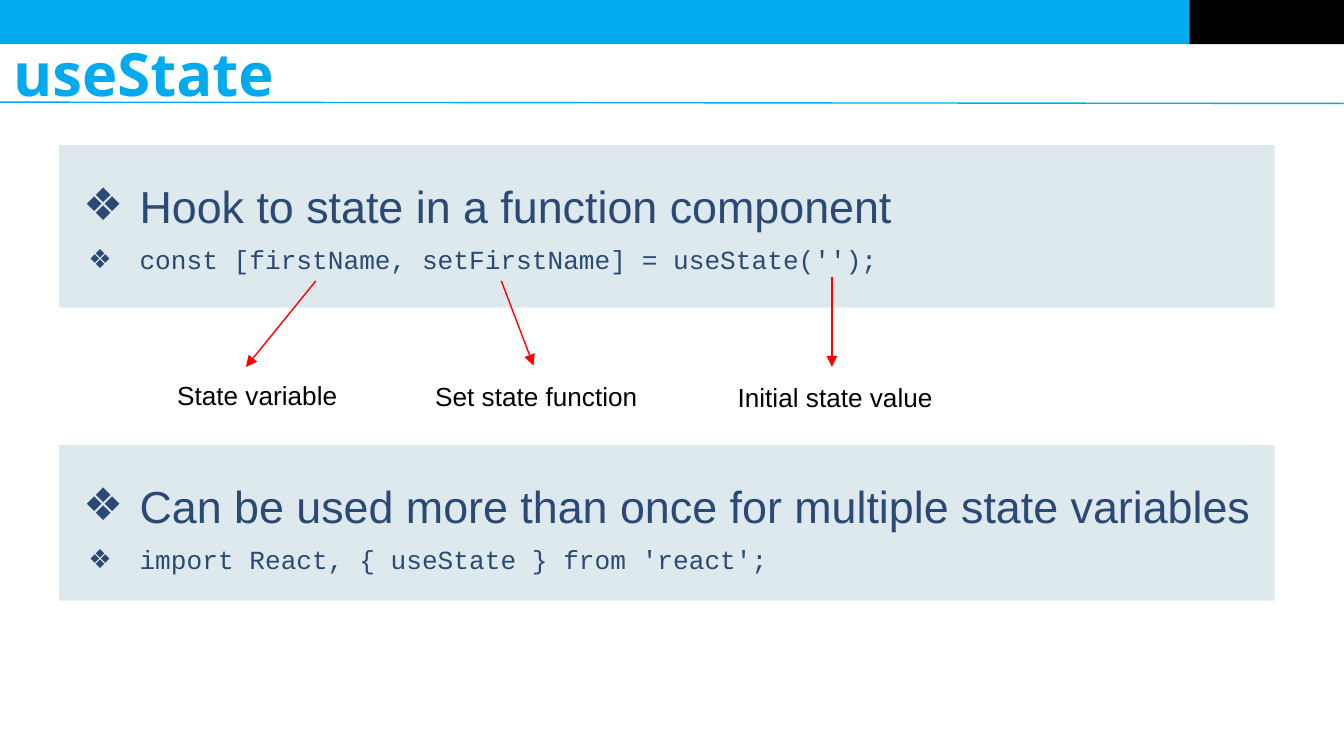
from lxml import etree
from pptx import Presentation
from pptx import util as u
from pptx.dml.color import RGBColor
from pptx.enum import shapes, text
from pptx.oxml import ns

SKY = RGBColor(0x00, 0xAA, 0xED)
BLACK = RGBColor(0x00, 0x00, 0x00)
PALE = RGBColor(0xDE, 0xE9, 0xEE)
NAVY = RGBColor(0x2A, 0x4A, 0x75)
RED = RGBColor(0xFF, 0x00, 0x00)
CELL = 0.1
COLS, ROWS = 100, 56.25


def grid(*cells):
    return [u.Inches(cell * CELL) for cell in cells]


def child(node, tag, **attrs):
    return etree.SubElement(node, ns.qn(tag), attrs)


class Deck:
    def __init__(self):
        self.prs = Presentation()
        self.prs.slide_width, self.prs.slide_height = grid(COLS, ROWS)
        self.slide = self.prs.slides.add_slide(self.prs.slide_layouts[6])

    def style(self, para, words, face, size, color, bold=False):
        para.text = words
        font = para.font
        font.name, font.size, font.bold = face, u.Pt(size), bold
        font.color.rgb = color

    def block(self, x, y, w, h, color):
        shape = self.slide.shapes.add_shape(
            shapes.MSO_SHAPE.RECTANGLE, *grid(x, y, w, h))
        shape.shadow.inherit = False
        shape.fill.solid()
        shape.fill.fore_color.rgb = color
        shape.line.fill.background()
        return shape

    def line(self, start, end, color, arrow=False):
        line = self.slide.shapes.add_connector(
            shapes.MSO_CONNECTOR.STRAIGHT, *grid(*start, *end))
        line.line.color.rgb = color
        line.line.width = u.Pt(0.75)
        if arrow:
            child(line.line._get_or_add_ln(), "a:tailEnd", type="triangle")
        child(line._element.spPr, "a:effectLst")

    def label(self, x, y, w, h, words, face="Arial", size=14, color=BLACK,
              bold=False, pad=1, anchor=text.MSO_ANCHOR.TOP):
        frame = self.slide.shapes.add_textbox(*grid(x, y, w, h)).text_frame
        frame.word_wrap = True
        frame.vertical_anchor = anchor
        frame.margin_top, frame.margin_bottom = grid(pad, pad)
        self.style(frame.paragraphs[0], words, face, size, color, bold)

    def bullet(self, para, hang):
        props = para._p.get_or_add_pPr()
        left, indent = grid(5, -hang)
        props.set("marL", str(left))
        props.set("indent", str(indent))
        tint = child(props, "a:buClr")
        child(tint, "a:srgbClr", val=str(NAVY))
        child(props, "a:buSzPct", val="100000")
        child(props, "a:buFont", typeface="Arial")
        child(props, "a:buChar", char="❖")

    def panel(self, y, h, point, code):
        frame = self.block(4.4, y, 90.45, h, PALE).text_frame
        frame.word_wrap = True
        frame.vertical_anchor = text.MSO_ANCHOR.TOP
        rows = ((point, "Arial", 24, 4.2, 1.5),
                (code, "Courier New", 14, 3.8, 1.36))
        paras = (frame.paragraphs[0], frame.add_paragraph())
        for para, (words, face, size, hang, space) in zip(paras, rows):
            para.alignment = text.PP_ALIGN.LEFT
            self.bullet(para, hang)
            para.line_spacing = space
            self.style(para, words, face, size, NAVY)

    def save(self):
        self.prs.save("out.pptx")


def main():
    deck = Deck()
    deck.block(0, 0, 88.5, 3.3, SKY)
    deck.block(88.5, 0, 11.5, 3.3, BLACK)
    deck.line((0, 7.6), (COLS, 7.7), SKY)
    deck.label(0, 3.2, COLS, 4.4, "useState", "Open Sans", 32, SKY,
               bold=True, pad=0.5, anchor=text.MSO_ANCHOR.MIDDLE)
    deck.panel(10.8, 12.1, "Hook to state in a function component",
               "const [firstName, setFirstName] = useState('');")
    notes = (
        ("State variable", (12.2, 27.2), (23.5, 20.9), (18.3, 27.3)),
        ("Set state function", (31.4, 27.3), (37.3, 20.9), (39.7, 27.2)),
        ("Initial state value", (53.9, 27.4), (61.9, 20.6), (61.9, 27.3)),
    )
    for words, spot, start, end in notes:
        deck.line(start, end, RED, arrow=True)
        deck.label(*spot, 17.6, 3, words)
    deck.panel(33.1, 11.6,
               "Can be used more than once for multiple state variables",
               "import React, { useState } from 'react';")
    deck.save()


if __name__ == "__main__":
    main()
